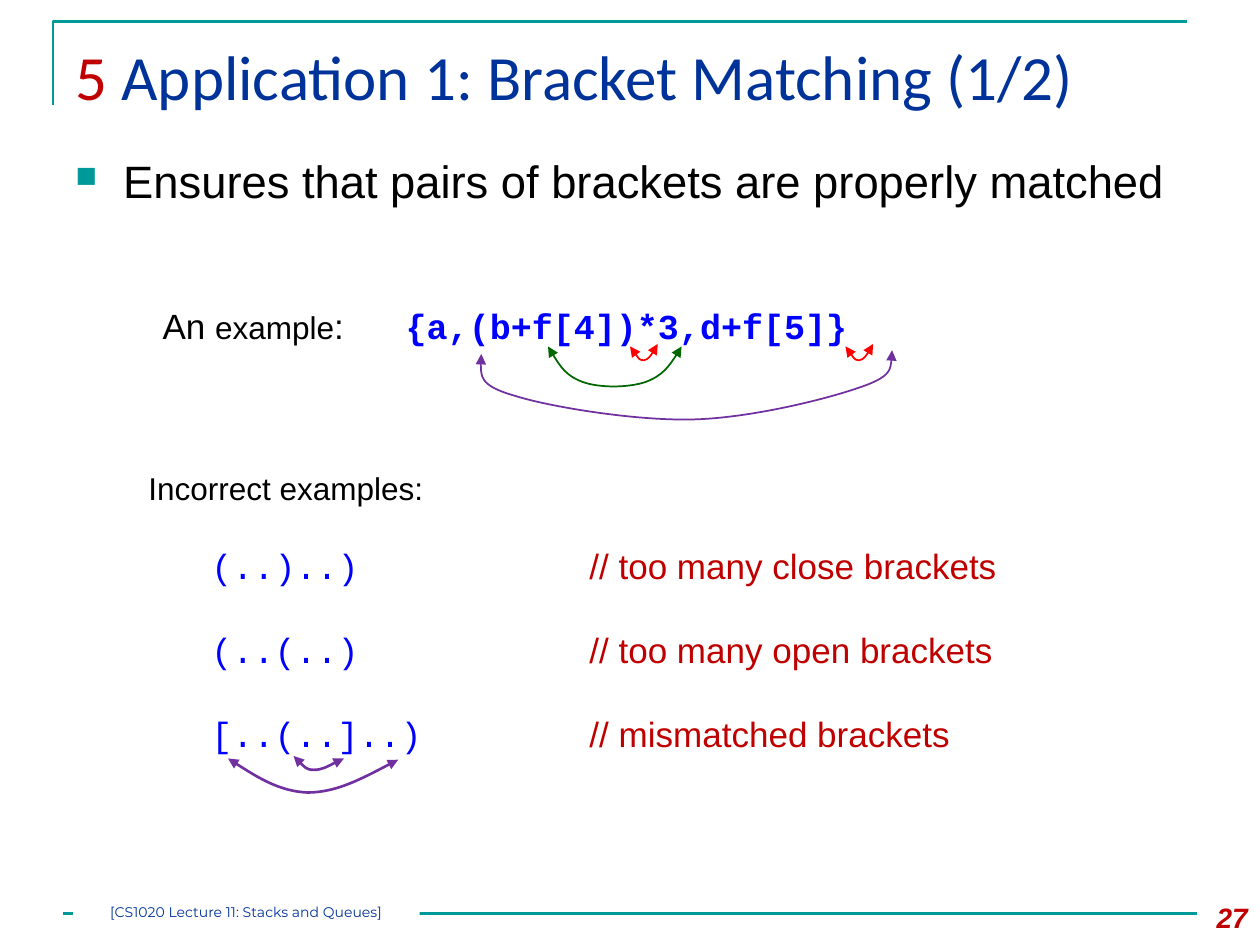
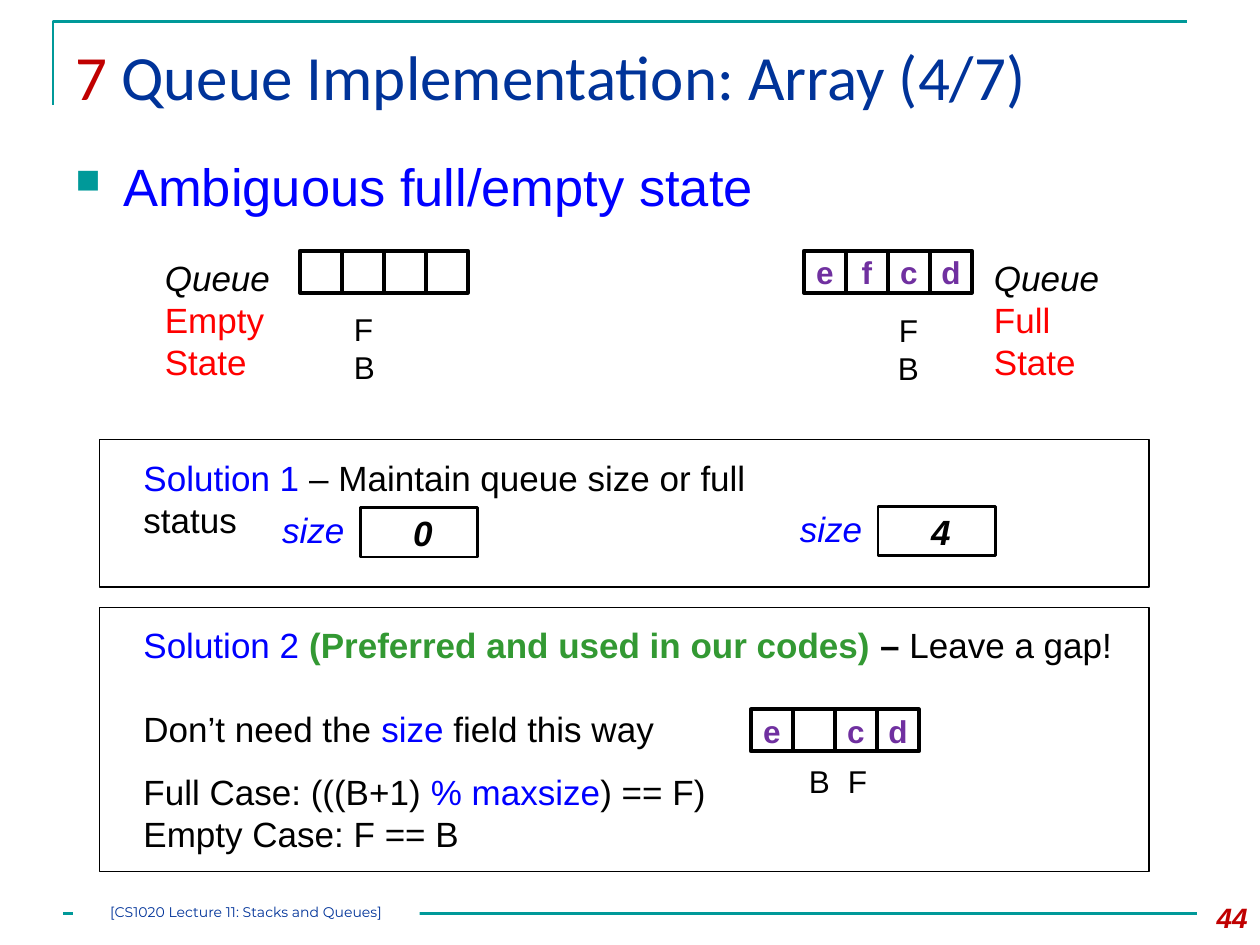
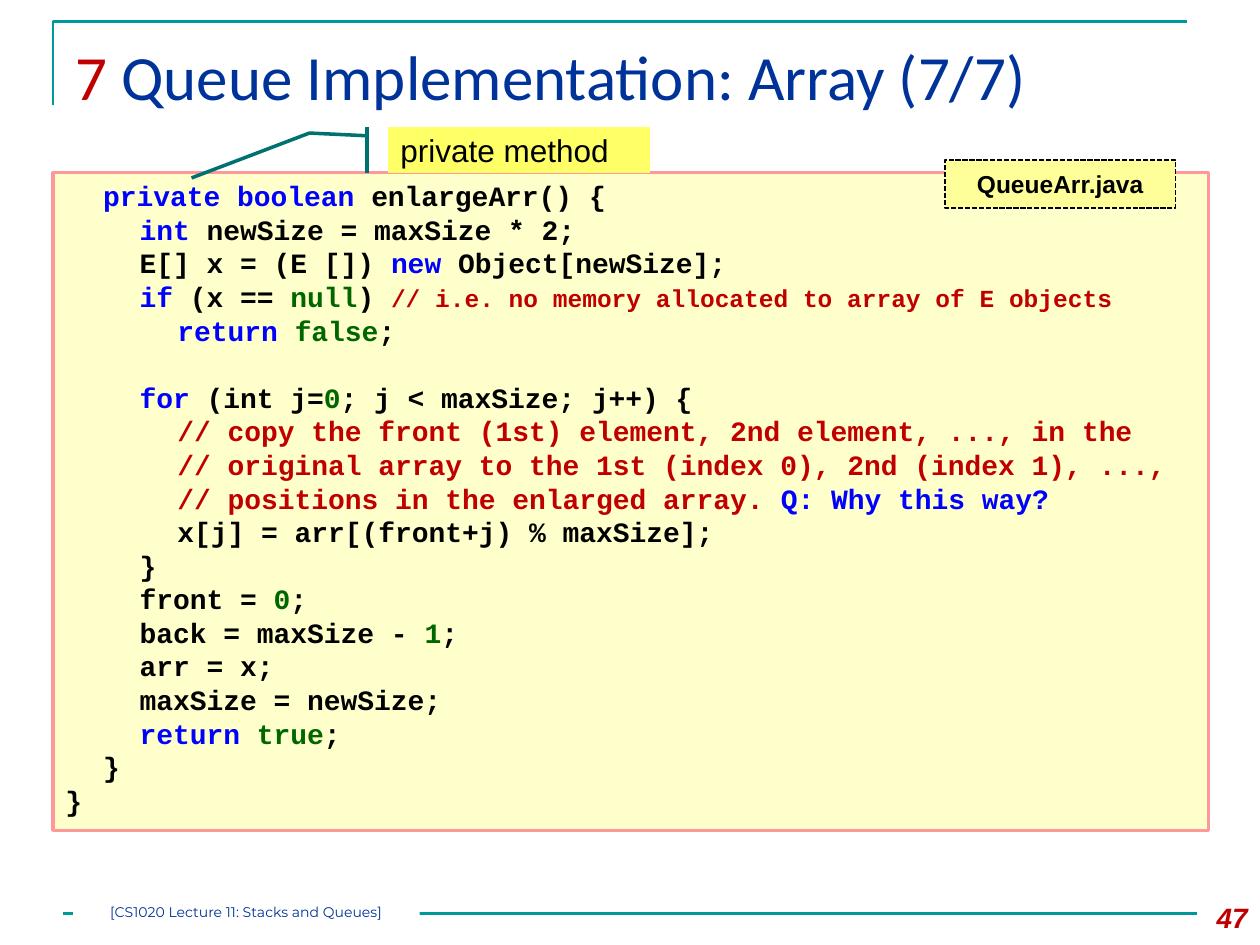
import pptx
import pptx.util
from lxml import etree
from pptx.dml.color import RGBColor
from pptx.enum.dml import MSO_LINE
from pptx.enum.shapes import MSO_CONNECTOR, MSO_SHAPE
from pptx.enum.text import MSO_ANCHOR, PP_ALIGN
from pptx.oxml.ns import qn
from pptx.util import Inches, Pt

COLORS = {
    "black": "000000", "white": "FFFFFF", "teal": "009999", "dark teal": "007171",
    "navy": "003399", "crimson": "C00000", "blue": "0000FF", "red": "FF0000",
    "green": "006600", "leaf": "339933", "purple": "7030A0",
    "code fill": "FFFFCC", "code edge": "FF9999", "file fill": "FFFF99", "note fill": "FFFF66",
}
FOOTER = "[CS1020 Lecture 11: Stacks and Queues]"
LINE_HEIGHT = 1.2
CODE_FONT = "Courier New"

# A paragraph is a list of runs: (text, colour) or (text, colour, font options).
EXAMPLE = [("An ", "black"), ("example", "black", {"size": 18}), (":\t", "black"),
           ("{a,(b+f[4])*3,d+f[5]}", "blue", {"name": CODE_FONT, "bold": True})]
MISTAKES = [("(..)..)", "// too many close brackets"),
            ("(..(..)", "// too many open brackets"),
            ("[..(..]..)", "// mismatched brackets")]

# Start point, then two control points and an end point for each curve.
INNER_PAIR = [(5, 2.75), (5.04, 2.8), (5.07, 2.86), (5.11, 2.86),
              (5.15, 2.85), (5.19, 2.79), (5.22, 2.73)]
INNER_PAIR_STEP = 1.71
BRACKET_PAIRS = [
    (INNER_PAIR, "red", 1),
    ([(x + INNER_PAIR_STEP, y) for x, y in INNER_PAIR], "red", 1),
    ([(4.35, 2.75), (4.42, 2.87), (4.49, 2.98), (4.62, 3.03), (4.75, 3.08),
      (4.99, 3.08), (5.13, 3.03), (5.26, 2.98), (5.34, 2.87), (5.41, 2.75)], "green", 1),
    ([(3.82, 2.81), (3.81, 2.93), (3.8, 3.06), (4.08, 3.14), (4.36, 3.23), (5.04, 3.34),
      (5.49, 3.33), (5.95, 3.32), (6.55, 3.17), (6.81, 3.08), (7.08, 2.99),
      (7.08, 2.88), (7.08, 2.78)], "purple", 1),
    ([(2.33, 6), (2.38, 6.05), (2.43, 6.11), (2.49, 6.11),
      (2.56, 6.11), (2.64, 6.06), (2.73, 6.02)], "purple", 1.5),
    ([(1.81, 6.02), (2.01, 6.15), (2.22, 6.28), (2.44, 6.29),
      (2.67, 6.29), (2.91, 6.16), (3.16, 6.03)], "purple", 1.5),
]

CELL = 1 / 3
QUEUES = [(2.38, 1.99, ["", "", "", ""]),
          (6.38, 1.99, ["e", "f", "c", "d"]),
          (5.96, 5.63, ["e", "", "c", "d"])]
STATES = [(1.21, "Empty"), (7.79, "Full")]
FRONT_BACK = [(2.71, 2.41, PP_ALIGN.LEFT), (7, 2.42, PP_ALIGN.CENTER)]
SIZES = [(2.14, 3.99, "0"), (6.25, 3.98, "4")]
SOLUTION_1 = [[("Solution 1 ", "blue"), ("– Maintain queue size or full status", "black")]]
SOLUTION_2 = [
    [("Solution 2 ", "blue"),
     ("(Preferred and used in our codes) ", "leaf", {"bold": True}),
     ("– ", "black", {"bold": True}), ("Leave a gap!", "black")],
    [("Don’t need the ", "black"), ("size", "blue"), (" field this way", "black")],
    [("Full Case: (((B+1)", "black"), (" % maxsize", "blue"), (") == F)", "black")],
    [("Empty Case: F == B", "black")],
]

# Indent level and runs of each line.
CODE = [
    (1, [("private boolean ", "blue"), ("enlargeArr() {", "black")]),
    (2, [("int ", "blue"), ("newSize = maxSize * 2;", "black")]),
    (2, [("E[] x = (E []) ", "black"), ("new ", "blue"), ("Object[newSize];", "black")]),
    (2, [("if ", "blue"), ("(x == ", "black"), ("null", "green"), (") ", "black"),
         ("// i.e. no memory allocated to array of E objects", "crimson", {"size": 14})]),
    (3, [("return ", "blue"), ("false", "green"), (";", "black")]),
    (2, [("for ", "blue"), ("(int j=", "black"), ("0", "green"),
         ("; j < maxSize; j++) {", "black")]),
    (3, [("// copy the front (1st) element, 2nd element, ..., in the", "crimson")]),
    (3, [("// original array to the 1st (index 0), 2nd (index 1), ...,", "crimson")]),
    (3, [("// positions in the enlarged array. ", "crimson"), ("Q: Why this way?", "blue")]),
    (3, [("x[j] = arr[(front+j) % maxSize];", "black")]),
    (2, [("}", "black")]),
    (2, [("front = ", "black"), ("0", "green"), (";", "black")]),
    (2, [("back = maxSize - ", "black"), ("1", "green"), (";", "black")]),
    (2, [("arr = x;", "black")]),
    (2, [("maxSize = newSize;", "black")]),
    (2, [("return ", "blue"), ("true", "green"), (";", "black")]),
    (1, [("}", "black")]),
    (0, [("}", "black")]),
]
LOOP_LINE = 5


def rgb(color):
    return RGBColor.from_string(COLORS[color])


def set_font(font, size=None, name=None, bold=None, italic=None):
    if size:
        font.size = Pt(size)
    if name:
        font.name = name
    if bold is not None:
        font.bold = bold
    if italic is not None:
        font.italic = italic


def set_tabs(paragraph, stops):
    properties = paragraph._p.get_or_add_pPr()
    tab_list = etree.SubElement(properties, qn("a:tabLst"))
    for stop in stops:
        etree.SubElement(tab_list, qn("a:tab"), pos=str(Inches(stop)), algn="l")


def set_bullet(paragraph):
    properties = paragraph._p.get_or_add_pPr()
    properties.set("marL", str(Inches(0.38)))
    properties.set("indent", str(Inches(-0.38)))
    bullet_color = etree.SubElement(properties, qn("a:buClr"))
    etree.SubElement(bullet_color, qn("a:srgbClr"), val=COLORS["teal"])
    etree.SubElement(properties, qn("a:buSzPct"), val="65000")
    etree.SubElement(properties, qn("a:buChar"), char="■")


def write(shape, paragraphs, size, name="Arial", bold=None, italic=None, align=PP_ALIGN.LEFT,
          anchor=MSO_ANCHOR.TOP, tabs=(), gaps=None, bullet=False, inset=None):
    """Fill a shape with paragraphs; gaps maps a paragraph's index to points before it."""
    frame = shape.text_frame
    frame.word_wrap = True
    frame.vertical_anchor = anchor
    if inset is not None:
        frame.margin_left = Inches(inset)
    for index, runs in enumerate(paragraphs):
        paragraph = frame.paragraphs[0] if index == 0 else frame.add_paragraph()
        paragraph.alignment = align
        options = [run[2] if len(run) > 2 else {} for run in runs]
        tallest = max(option.get("size", size) for option in options)
        paragraph.line_spacing = Pt(tallest * LINE_HEIGHT)
        if gaps and index in gaps:
            paragraph.space_before = Pt(gaps[index])
        if bullet:
            set_bullet(paragraph)
        if tabs:
            set_tabs(paragraph, tabs)
        set_font(paragraph.font, size, name, bold, italic)
        for (text, color, *_), option in zip(runs, options):
            run = paragraph.add_run()
            run.text = text
            run.font.color.rgb = rgb(color)
            set_font(run.font, **option)


def add_text(slide, at, paragraphs, size, **style):
    text_box = slide.shapes.add_textbox(*map(Inches, at))
    write(text_box, paragraphs, size, **style)


def add_box(slide, at, fill=None, edge=None, width=1, kind=MSO_SHAPE.RECTANGLE):
    box = slide.shapes.add_shape(kind, *map(Inches, at))
    box.shadow.inherit = False
    if fill:
        box.fill.solid()
        box.fill.fore_color.rgb = rgb(fill)
    else:
        box.fill.background()
    if edge:
        box.line.color.rgb = rgb(edge)
        box.line.width = Pt(width)
    else:
        box.line.fill.background()
    return box


def add_outline(slide, points, color, width):
    corners = [(Inches(x), Inches(y)) for x, y in points]
    builder = slide.shapes.build_freeform(*corners[0])
    builder.add_line_segments(corners[1:], close=False)
    outline = builder.convert_to_shape()
    outline.shadow.inherit = False
    outline.fill.background()
    outline.line.color.rgb = rgb(color)
    outline.line.width = Pt(width)
    return outline


def add_double_arrow(slide, points, color, width):
    """Turn an outline's points into Bézier curves with a head at both ends."""
    arrow = add_outline(slide, points, color, width)
    segments = list(arrow._element.iter(qn("a:lnTo")))
    for start in range(0, len(segments), 3):
        curve = etree.Element(qn("a:cubicBezTo"))
        segments[start].addprevious(curve)
        for segment in segments[start:start + 3]:
            curve.append(segment[0])
            segment.getparent().remove(segment)
    line = arrow._element.spPr.find(qn("a:ln"))
    for end in ("a:headEnd", "a:tailEnd"):
        etree.SubElement(line, qn(end), type="triangle")


def add_slide(deck, chapter, title, number):
    slide = deck.slides.add_slide(deck.slide_layouts[6])
    add_outline(slide, [(0.42, 0.83), (0.42, 0.17), (9.42, 0.17)], "teal", 1.5)
    rule = slide.shapes.add_connector(
        MSO_CONNECTOR.STRAIGHT, Inches(0.5), Inches(7.25), Inches(9.5), Inches(7.25))
    rule.line.color.rgb = rgb("teal")
    rule.line.width = Pt(1.5)
    etree.SubElement(rule._element.spPr, qn("a:effectLst"))
    add_text(slide, (0.5, 0.25, 9.33, 0.86),
             [[(chapter + " ", "crimson"), (title, "navy")]], 36, name="Calibri")
    add_text(slide, (9.33, 7.1, 0.67, 0.4), [[(number, "crimson")]], 16,
             bold=True, italic=True, align=PP_ALIGN.RIGHT)
    footer = add_box(slide, (0.58, 7.17, 2.75, 0.17), "white")
    frame = footer.text_frame
    frame.margin_left = frame.margin_right = frame.margin_top = frame.margin_bottom = 0
    write(footer, [[(FOOTER, "navy")]], 8, name="Montserrat", align=PP_ALIGN.CENTER)
    return slide


def add_headline(slide, text, color, size):
    add_text(slide, (0.5, 1.17, 9, 0.75), [[(text, color)]], size, bullet=True)


def add_queue(slide, left, top, items):
    for index, item in enumerate(items):
        cell = add_box(slide, (left + index * CELL, top, CELL, CELL), "white", "black", 2.25)
        if item:
            cell.text_frame.margin_right = 0
            write(cell, [[(item, "purple")]], 18, bold=True, align=PP_ALIGN.CENTER,
                  anchor=MSO_ANCHOR.MIDDLE, inset=0)


def build_bracket_slide(deck):
    slide = add_slide(deck, "5", "Application 1: Bracket Matching (1/2)", "27")
    add_headline(slide, "Ensures that pairs of brackets are properly matched", "black", 25.9)
    add_text(slide, (0.62, 2.37, 8.38, 0.44), [EXAMPLE], 20, inset=0.67, tabs=[1.93])
    rows = [[("\tIncorrect examples:", "black", {"size": 18})]]
    for code, reason in MISTAKES:
        rows.append([("\t\t" + code + "\t", "blue", {"name": CODE_FONT}), (reason, "crimson")])
        for_size = 20
    for row in rows[1:]:
        row[0][2]["size"] = for_size
    add_text(slide, (0.58, 3.67, 8.28, 2.39), rows, 18 if not MISTAKES else for_size,
             tabs=[0.5, 1, 4], gaps={1: 21.6, 2: 24, 3: 24})
    for points, color, width in BRACKET_PAIRS:
        add_double_arrow(slide, points, color, width)


def build_state_slide(deck):
    slide = add_slide(deck, "7", "Queue Implementation: Array (4/7)", "44")
    add_headline(slide, "Ambiguous full/empty state", "blue", 30)
    for left, state in STATES:
        add_text(slide, (left, 1.99, 1.1, 1.1),
                 [[("Queue", "black", {"italic": True})], [(state, "red")], [("State", "red")]], 20)
    for left, top, align in FRONT_BACK:
        add_text(slide, (left, top, 0.42, 0.7), [[("F", "black")], [("B", "black")]], 18,
                 align=align)

    add_box(slide, (0.79, 3.49, 8.33, 1.17), "white", "black", 0.75)
    add_text(slide, (1.04, 3.57, 5.79, 0.43), SOLUTION_1, 20)
    for left, top, count in SIZES:
        add_text(slide, (left, top, 0.75, 0.43), [[("size", "blue")]], 20, italic=True)
        field = add_box(slide, (left + 0.72, top + 0.04, 0.93, 0.39), None, "black", 1.5)
        write(field, [[(count, "black")]], 20, bold=True, italic=True,
              anchor=MSO_ANCHOR.MIDDLE, inset=0.42)

    add_box(slide, (0.79, 4.82, 8.33, 2.1), "white", "black", 0.75)
    add_text(slide, (1.04, 4.9, 7.94, 1.95), SOLUTION_2, 20, gaps={1: 24, 2: 12})
    add_text(slide, (6.26, 6, 0.83, 0.39), [[("B\tF", "black")]], 18, inset=0.16, tabs=[0.31])
    for left, top, items in QUEUES:
        add_queue(slide, left, top, items)


def build_code_slide(deck):
    slide = add_slide(deck, "7", "Queue Implementation: Array (7/7)", "47")
    listing = add_box(slide, (0.42, 1.37, 9.17, 5.22), "code fill", "code edge", 2)
    lines = [[("\t" * level + runs[0][0], *runs[0][1:])] + runs[1:] for level, runs in CODE]
    write(listing, lines, 16, name=CODE_FONT, bold=True, tabs=[0.3, 0.59, 0.89],
          gaps={LOOP_LINE: 16 * LINE_HEIGHT})
    file_tag = add_box(slide, (7.5, 1.27, 1.83, 0.38), "file fill", "black", 1)
    file_tag.line.dash_style = MSO_LINE.SQUARE_DOT
    write(file_tag, [[("QueueArr.java", "black")]], 14, bold=True, align=PP_ALIGN.CENTER,
          anchor=MSO_ANCHOR.MIDDLE)
    callout = add_box(slide, (3.08, 1.01, 2.08, 0.36), "note fill", "dark teal", 2,
                      MSO_SHAPE.LINE_CALLOUT_2_ACCENT_BAR)
    for index, value in enumerate([0.19, -0.08, 0.13, -0.3, 1.12, -0.75]):
        callout.adjustments[index] = value
    write(callout, [[("private method", "black")]], 18, anchor=MSO_ANCHOR.MIDDLE)


def main():
    deck = pptx.Presentation()
    deck.slide_width = Inches(10)
    deck.slide_height = Inches(7.5)
    build_bracket_slide(deck)
    build_state_slide(deck)
    build_code_slide(deck)
    deck.save("out.pptx")


if __name__ == "__main__":
    main()
